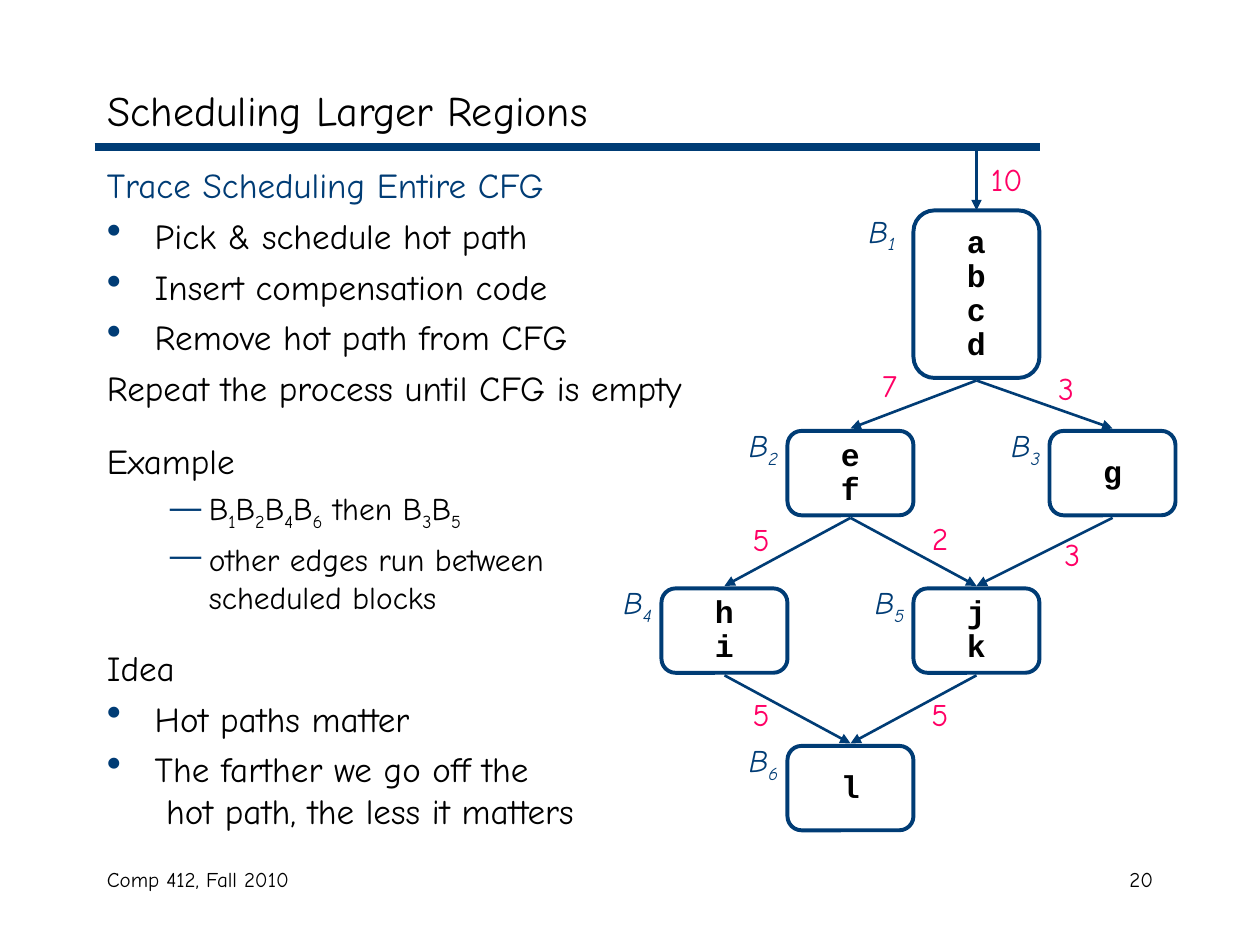
import itertools

import pptx
import pptx.dml.color
import pptx.enum.shapes
import pptx.enum.text
import pptx.oxml.ns
import pptx.util
from lxml import etree
from pptx.util import Inches

NAVY = pptx.dml.color.RGBColor(0x00, 0x3C, 0x75)
PINK = pptx.dml.color.RGBColor(0xFF, 0x00, 0x65)
BLACK = pptx.dml.color.RGBColor(0x00, 0x00, 0x00)
HAND, CODE = "Comic Neue", "Courier New"
ALIGN = pptx.enum.text.PP_ALIGN
ANCHOR = pptx.enum.text.MSO_ANCHOR

# kind: margin, first-line indent, size, bullet, bullet size in percent
STYLES = {
    "plain": (0, 0, 20, None, None),
    "bullet": (0.38, -0.38, 20, "•", 120),
    "bullet rest": (0.47, 0, 20, None, None),
    "dash": (0.81, -0.31, 18, "—", 100),
    "dash rest": (0.81, 0, 18, None, None),
}
# text, kind, space before, colour
OUTLINE = [
    ("Trace Scheduling Entire CFG", "plain", 0, NAVY),
    ("Pick & schedule hot path", "bullet", 5, BLACK),
    ("Insert compensation code", "bullet", 5, BLACK),
    ("Remove hot path from CFG", "bullet", 5, BLACK),
    ("Repeat the process until CFG is empty", "plain", 5, BLACK),
    ("Example", "plain", 17.5, BLACK),
    ("B1B2B4B6 then B3B5", "dash", 4.5, BLACK),
    ("other edges run between", "dash", 4.5, BLACK),
    ("scheduled blocks", "dash rest", 0, BLACK),
    ("Idea", "plain", 17.5, BLACK),
    ("Hot paths matter", "bullet", 5, BLACK),
    ("The farther we go off the", "bullet", 5, BLACK),
    ("hot path, the less it matters", "bullet rest", 0, BLACK),
]

BLOCK_WIDTH, LABEL_WIDTH, EDGE_GAP = 1, 0.5, 0.02
# name: left, top, height, code; lengths are within the graph's box
BLOCKS = {
    "B1": (2, 0.5, 1.33, "abcd"),
    "B2": (1, 2.25, 0.67, "ef"),
    "B3": (3.08, 2.25, 0.67, "g"),
    "B4": (0, 3.5, 0.67, "hi"),
    "B5": (2, 3.5, 0.67, "jk"),
    "B6": (1, 4.75, 0.67, "l"),
}
# source, target, count, left and top of the count
EDGES = [
    (None, "B1", "10", 2.45, 0.05),
    ("B1", "B2", "7", 1.52, 1.69),
    ("B1", "B3", "3", 2.92, 1.71),
    ("B2", "B4", "5", 0.5, 2.91),
    ("B2", "B5", "2", 1.92, 2.9),
    ("B3", "B5", "3", 2.97, 3.03),
    ("B4", "B6", "5", 0.5, 4.3),
    ("B5", "B6", "5", 1.92, 4.3),
]


def add_child(parent, tag, **attributes):
    child = etree.SubElement(parent, pptx.oxml.ns.qn(tag))
    for name, value in attributes.items():
        child.set(name, value)
    return child


def set_font(font, size, color, face=HAND, bold=False, italic=False):
    font.name, font.size = face, pptx.util.Pt(size)
    font.bold, font.italic = bold, italic
    font.color.rgb = color


def write_subscripted(para, text):
    """Fill the paragraph, lowering every digit."""
    for is_digit, letters in itertools.groupby(text, str.isdigit):
        span = para.add_run()
        span.text = "".join(letters)
        if is_digit:
            span._r.get_or_add_rPr().set("baseline", "-25000")


def add_text_box(page, left, top, width, height):
    box = page.shapes.add_textbox(
        Inches(left), Inches(top), Inches(width), Inches(height))
    box.text_frame.word_wrap = True
    return box


def add_label(page, text, left, top, width, height, size, color,
              align=ALIGN.CENTER, italic=False, subscripts=False):
    box = add_text_box(page, left, top, width, height)
    para = box.text_frame.paragraphs[0]
    para.alignment = align
    if subscripts:
        write_subscripted(para, text)
    else:
        para.text = text
    for span in para.runs:
        set_font(span.font, size, color, italic=italic)


def add_line(page, start, end, width, arrow=False):
    line = page.shapes.add_connector(
        pptx.enum.shapes.MSO_CONNECTOR.STRAIGHT,
        *(Inches(value) for value in (*start, *end)))
    line.line.color.rgb = NAVY
    line.line.width = pptx.util.Pt(width)
    if arrow:
        add_child(line.line._get_or_add_ln(), "a:tailEnd", type="triangle")
    add_child(line._element.spPr, "a:effectLst")


def add_heading(page, left, top, width, height):
    title = page.shapes.title
    title.left, title.top = Inches(left), Inches(top)
    title.width, title.height = Inches(width), Inches(height)
    frame = title.text_frame
    frame.text = "Scheduling Larger Regions"
    frame.vertical_anchor = ANCHOR.MIDDLE
    para = frame.paragraphs[0]
    para.alignment = ALIGN.LEFT
    set_font(para.runs[0].font, 24, BLACK)
    rule_top = top + height + 0.01
    add_line(page, (left, rule_top), (left + 7.5, rule_top), 4.5)


def add_outline(page, left, top, width, height):
    frame = add_text_box(page, left, top, width, height).text_frame
    for index, (text, kind, space, color) in enumerate(OUTLINE):
        margin, indent, size, bullet, percent = STYLES[kind]
        para = frame.add_paragraph() if index else frame.paragraphs[0]
        props = para._p.get_or_add_pPr()
        props.set("marL", str(Inches(margin)))
        props.set("indent", str(Inches(indent)))
        if bullet:
            add_child(add_child(props, "a:buClr"), "a:srgbClr", val=str(NAVY))
            add_child(props, "a:buSzPct", val=str(percent * 1000))
            add_child(props, "a:buChar", char=bullet)
        para.space_before = pptx.util.Pt(space)
        if kind == "dash":
            write_subscripted(para, text)
        else:
            para.text = text
        for span in para.runs:
            set_font(span.font, size, color)


def add_block(page, left, top, height, code):
    block = page.shapes.add_shape(
        pptx.enum.shapes.MSO_SHAPE.ROUNDED_RECTANGLE,
        Inches(left), Inches(top), Inches(BLOCK_WIDTH), Inches(height))
    block.adjustments[0] = 0.167
    block.shadow.inherit = False
    block.fill.background()
    block.line.color.rgb = NAVY
    block.line.width = pptx.util.Pt(2.25)
    frame = block.text_frame
    frame.word_wrap = False
    frame.vertical_anchor = ANCHOR.MIDDLE
    frame.text = "\n".join(code)
    for para in frame.paragraphs:
        para.alignment = ALIGN.CENTER
        para.line_spacing = 0.9
        set_font(para.runs[0].font, 18, BLACK, CODE, bold=True)


def add_flow_graph(page, left, top):
    for name, (x, y, height, code) in BLOCKS.items():
        add_block(page, left + x, top + y, height, code)
        shift_x, shift_y = (-0.5, -0.04) if name == "B1" else (-0.44, -0.09)
        add_label(page, name, left + x + shift_x, top + y + shift_y,
                  LABEL_WIDTH, 0.44, 18, NAVY, italic=True, subscripts=True)
    for source, target, count, x, y in EDGES:
        end_x, end_y = BLOCKS[target][:2]
        end = (left + end_x + BLOCK_WIDTH / 2, top + end_y - EDGE_GAP)
        if source:
            start_x, start_y, height, _ = BLOCKS[source]
            start = (left + start_x + BLOCK_WIDTH / 2,
                     top + start_y + height + EDGE_GAP)
        else:
            start, end = (end[0], top), (end[0], top + end_y)
        add_line(page, start, end, 1.5, arrow=True)
        add_label(page, count, left + x, top + y, 0.58, 0.4, 18, PINK)


def add_footer(page, left, top, width, height):
    add_label(page, "Comp 412, Fall 2010", left, top, 3.17, height,
              12, BLACK, ALIGN.LEFT)
    add_label(page, "20", left + width - 2.08, top, 2.08, height,
              12, BLACK, ALIGN.RIGHT)


def main():
    deck = pptx.Presentation()
    deck.slide_width, deck.slide_height = Inches(10), Inches(7.5)
    page = deck.slides.add_slide(deck.slide_layouts[5])
    add_heading(page, 0.75, 0.58, 8.5, 0.58)
    add_outline(page, 0.75, 1.25, 8.5, 5.42)
    add_flow_graph(page, 5.25, 1.17)
    add_footer(page, 0.75, 6.83, 8.5, 0.5)
    deck.save("out.pptx")


if __name__ == "__main__":
    main()
